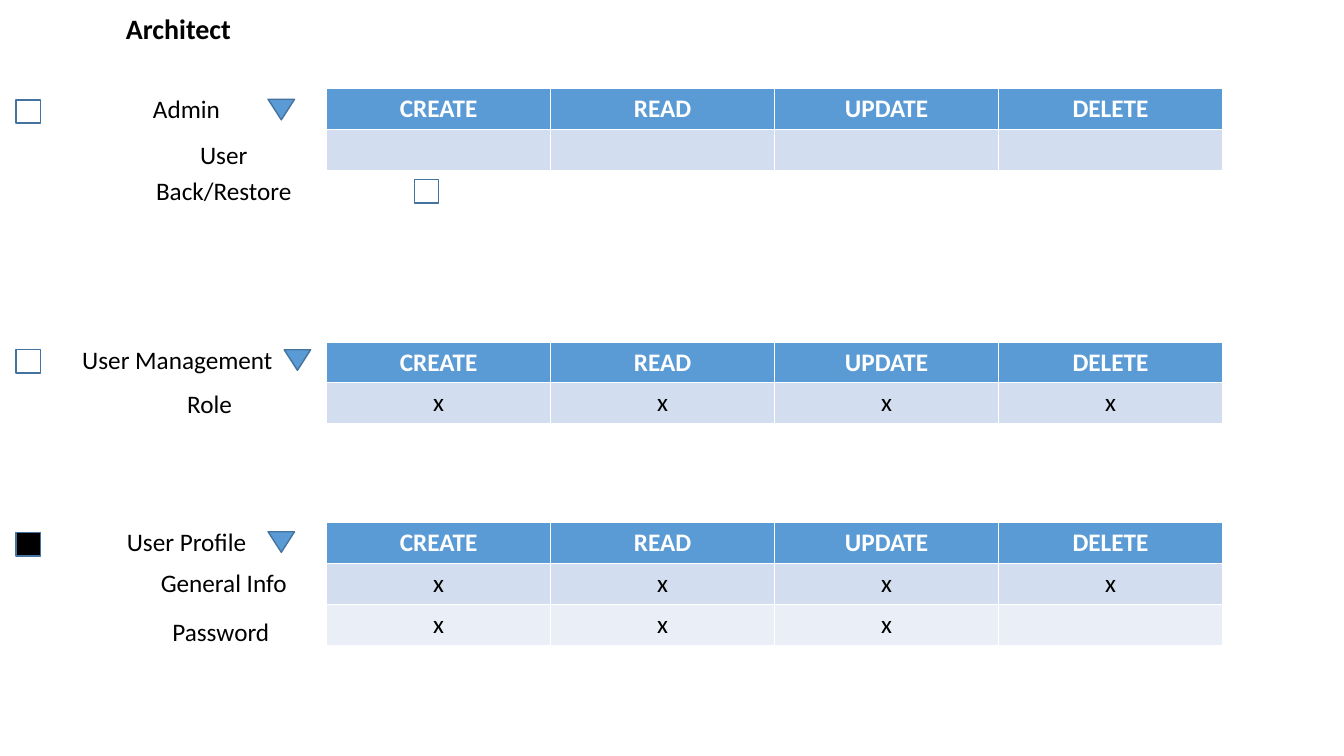
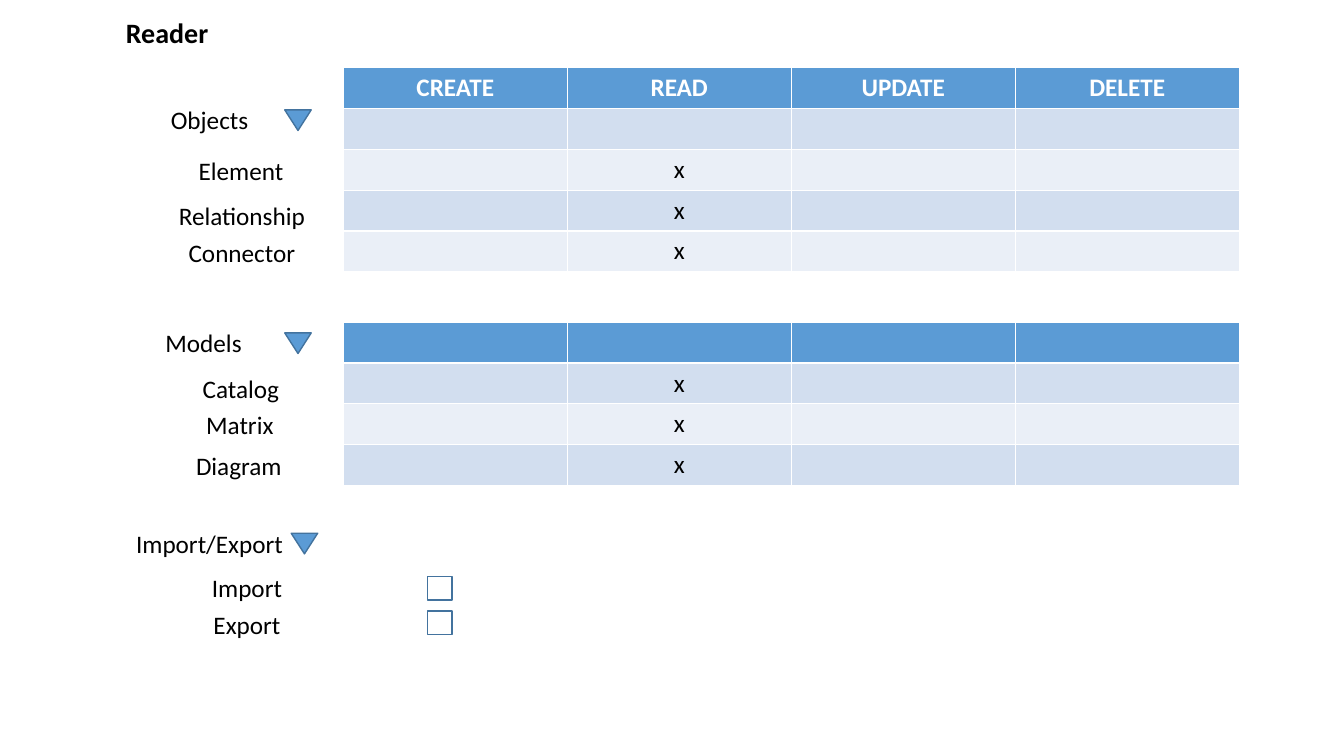
from pptx import Presentation
from pptx.dml.color import RGBColor
from pptx.enum.shapes import MSO_SHAPE
from pptx.enum.text import MSO_AUTO_SIZE, PP_ALIGN
from pptx.util import Pt

TRIANGLE, SQUARE = MSO_SHAPE.ISOSCELES_TRIANGLE, MSO_SHAPE.RECTANGLE
LEFT, CENTER = PP_ALIGN.LEFT, PP_ALIGN.CENTER
GROW = MSO_AUTO_SIZE.SHAPE_TO_FIT_TEXT

BLACK = RGBColor(0x00, 0x00, 0x00)
WHITE = RGBColor(0xFF, 0xFF, 0xFF)
BLUE = RGBColor(0x5B, 0x9B, 0xD5)
OUTLINE = RGBColor(0x43, 0x73, 0x9E)
BANDS = (RGBColor(0xD2, 0xDE, 0xEF), RGBColor(0xEA, 0xEF, 0xF7))

FONT = "Calibri"
TITLE_LEFT, TITLE_WIDTH, TITLE_HEIGHT = 82.8, 136.8, 31.5
LABEL_WIDTH, LABEL_HEIGHT = 167, 29.1
COLUMN_WIDTH, ROW_HEIGHT = 160, 29.16
ARROW_SIZE = (18.9, 14.7)
CHECKBOX_SIZE = (17.5, 16.7)

ACTIONS = ("CREATE", "READ", "UPDATE", "DELETE")
NONE = ("", "", "", "")
ALL = ("x", "x", "x", "x")
READ_ONLY = ("", "x", "", "")
NO_DELETE = ("x", "x", "x", "")

ROLES = [
    {
        "title": "Architect",
        "title_top": 5,
        "grid_left": 233.3,
        "grids": [
            (63.4, [ACTIONS, NONE]),
            (244.3, [ACTIONS, ALL]),
            (373.4, [ACTIONS, ALL, NO_DELETE]),
        ],
        "labels": [
            ("Admin", 49.7, 63.4),
            ("User", 76.3, 95.8),
            ("Back/Restore", 76.3, 121.7),
            ("User Management", 43.2, 242.6),
            ("Role", 66.2, 273.6),
            ("User Profile", 49.7, 372.2),
            ("General Info", 76.3, 401.8),
            ("Password", 74.2, 437),
        ],
        "arrows": [(191.5, 70.9), (203, 249.8), (191.5, 379.8)],
        "checkboxes": [
            (11.5, 71.3, WHITE),
            (295.9, 128.2, WHITE),
            (11.5, 249.8, WHITE),
            (11.5, 380.5, BLACK),
        ],
    },
    {
        "title": "Reader",
        "title_top": 7.2,
        "grid_left": 245.2,
        "grids": [
            (48.4, [ACTIONS, NONE, READ_ONLY, READ_ONLY, READ_ONLY]),
            (230.2, [NONE, READ_ONLY, READ_ONLY, READ_ONLY]),
        ],
        "labels": [
            ("Objects", 66.2, 70.6),
            ("Models", 61.9, 230.4),
            ("Element", 88.6, 107.3),
            ("Relationship", 89.3, 139.7),
            ("Connector", 89.3, 165.6),
            ("Catalog", 88.6, 262.8),
            ("Matrix", 87.8, 288.7),
            ("Diagram", 87.1, 318.2),
            ("Import/Export", 66.2, 373.7),
            ("Import", 92.9, 405.4),
            ("Export", 92.9, 432),
        ],
        "arrows": [(203.4, 78.5), (203.4, 237.8), (208, 380.9)],
        "checkboxes": [(305.3, 411.8, WHITE), (305.3, 436.5, WHITE)],
    },
]


def write(frame, text, size=18, color=BLACK, bold=False, align=CENTER):
    paragraph = frame.paragraphs[0]
    paragraph.alignment = align
    run = paragraph.add_run()
    run.text = text
    run.font.name = FONT
    run.font.size = Pt(size)
    run.font.bold = bold
    run.font.color.rgb = color


def add_text(slide, text, left, top, width, height, **style):
    frame = slide.shapes.add_textbox(Pt(left), Pt(top), Pt(width), Pt(height)).text_frame
    frame.word_wrap = True
    frame.auto_size = GROW
    write(frame, text, **style)


def add_marker(slide, kind, left, top, size, fill, rotation=0):
    marker = slide.shapes.add_shape(kind, Pt(left), Pt(top), *map(Pt, size))
    marker.rotation = rotation
    marker.shadow.inherit = False
    marker.fill.solid()
    marker.fill.fore_color.rgb = fill
    marker.line.color.rgb = OUTLINE
    marker.line.width = Pt(1)


def add_grid(slide, left, top, rows):
    grid = slide.shapes.add_table(
        len(rows), len(ACTIONS), Pt(left), Pt(top),
        Pt(COLUMN_WIDTH * len(ACTIONS)), Pt(ROW_HEIGHT * len(rows))).table
    for column in grid.columns:
        column.width = Pt(COLUMN_WIDTH)
    for r, marks in enumerate(rows):
        grid.rows[r].height = Pt(ROW_HEIGHT)
        header = r == 0
        for c, mark in enumerate(marks):
            cell = grid.cell(r, c)
            cell.fill.solid()
            cell.fill.fore_color.rgb = BLUE if header else BANDS[(r - 1) % 2]
            if mark:
                write(cell.text_frame, mark, color=WHITE if header else BLACK, bold=header)


deck = Presentation()
deck.slide_width, deck.slide_height = Pt(960), Pt(540)
blank = deck.slide_layouts[6]

for role in ROLES:
    slide = deck.slides.add_slide(blank)
    add_text(slide, role["title"], TITLE_LEFT, role["title_top"],
             TITLE_WIDTH, TITLE_HEIGHT, size=20, bold=True, align=LEFT)
    for top, rows in role["grids"]:
        add_grid(slide, role["grid_left"], top, rows)
    for text, left, top in role["labels"]:
        add_text(slide, text, left, top, LABEL_WIDTH, LABEL_HEIGHT)
    for left, top in role["arrows"]:
        add_marker(slide, TRIANGLE, left, top, ARROW_SIZE, BLUE, rotation=180)
    for left, top, fill in role["checkboxes"]:
        add_marker(slide, SQUARE, left, top, CHECKBOX_SIZE, fill)

deck.save("out.pptx")
